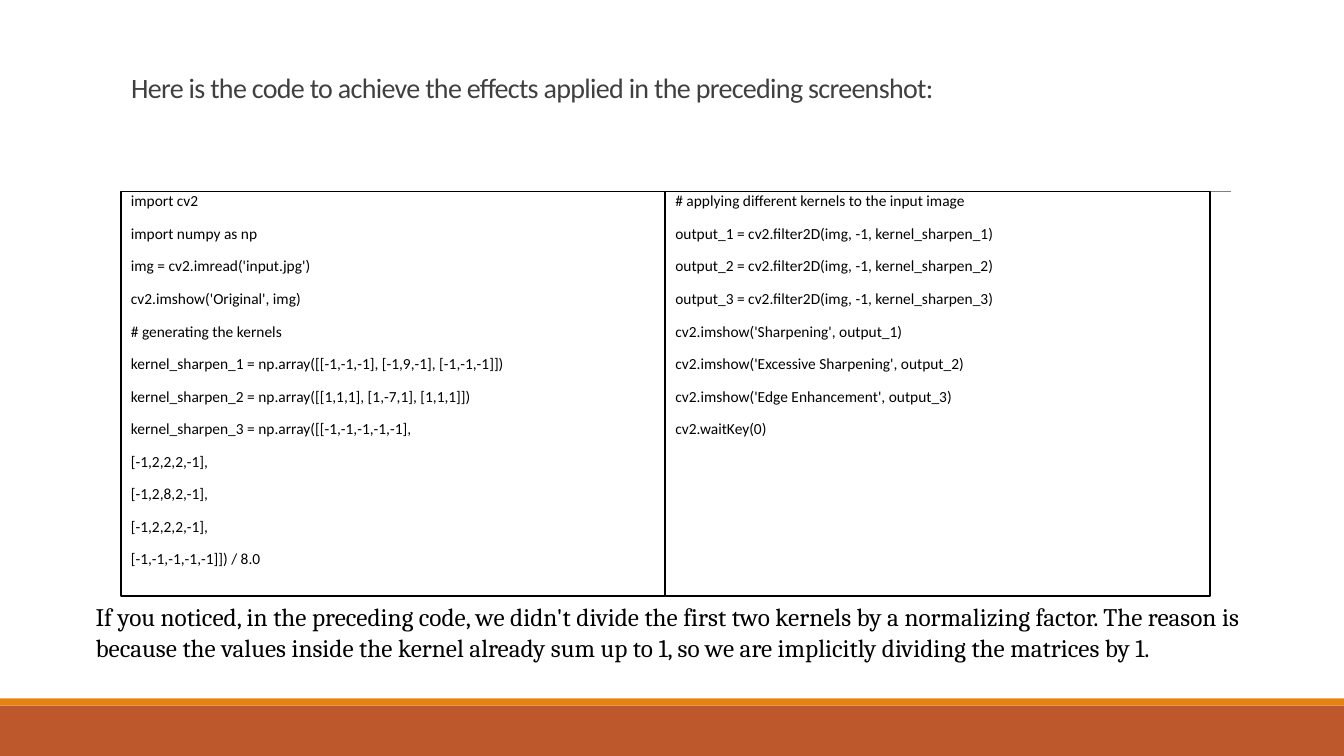
from pptx import Presentation
from pptx.dml.color import RGBColor
from pptx.enum.shapes import MSO_CONNECTOR, MSO_SHAPE
from pptx.enum.text import MSO_ANCHOR, MSO_AUTO_SIZE, PP_ALIGN
from pptx.oxml.ns import qn
from pptx.util import Inches, Pt
from lxml.etree import SubElement

LOADING_AND_KERNELS = [
    "import cv2",
    "import numpy as np",
    "img = cv2.imread('input.jpg')",
    "cv2.imshow('Original', img)",
    "# generating the kernels",
    "kernel_sharpen_1 = np.array([[-1,-1,-1], [-1,9,-1], [-1,-1,-1]])",
    "kernel_sharpen_2 = np.array([[1,1,1], [1,-7,1], [1,1,1]])",
    "kernel_sharpen_3 = np.array([[-1,-1,-1,-1,-1],",
    "[-1,2,2,2,-1],",
    "[-1,2,8,2,-1],",
    "[-1,2,2,2,-1],",
    "[-1,-1,-1,-1,-1]]) / 8.0",
]
FILTERING = [
    "# applying different kernels to the input image",
    "output_1 = cv2.filter2D(img, -1, kernel_sharpen_1)",
    "output_2 = cv2.filter2D(img, -1, kernel_sharpen_2)",
    "output_3 = cv2.filter2D(img, -1, kernel_sharpen_3)",
    "cv2.imshow('Sharpening', output_1)",
    "cv2.imshow('Excessive Sharpening', output_2)",
    "cv2.imshow('Edge Enhancement', output_3)",
    "cv2.waitKey(0)",
]
REMARK = (
    "If you noticed, in the preceding code, we didn't divide the first two kernels "
    "by a normalizing factor. The reason is because the values inside the kernel "
    "already sum up to 1, so we are implicitly dividing the matrices by 1."
)


def color(value):
    return RGBColor.from_string(value)


class CodeSlide:
    """Holds the style and the current slide."""

    heading_font = "Calibri"
    body_font = "Cambria"
    ink = "000000"
    muted = "404040"

    def __init__(self, presentation):
        self.slide = presentation.slides.add_slide(presentation.slide_layouts[5])

    def run(self, paragraph, text, font_name, size, ink):
        run = paragraph.add_run()
        run.text = text
        run.font.name = font_name
        run.font.size = Pt(size)
        run.font.color.rgb = color(ink)
        return run

    def rectangle(self, left, top, width, height, fill, line=None):
        shape = self.slide.shapes.add_shape(
            MSO_SHAPE.RECTANGLE, Inches(left), Inches(top), Inches(width), Inches(height))
        shape.shadow.inherit = False
        shape.fill.solid()
        shape.fill.fore_color.rgb = color(fill)
        if line:
            shape.line.color.rgb = color(line)
            shape.line.width = Pt(1.25)
        else:
            shape.line.fill.background()
        return shape

    def rule(self, left, right, top):
        connector = self.slide.shapes.add_connector(
            MSO_CONNECTOR.STRAIGHT, Inches(left), Inches(top), Inches(right), Inches(top))
        connector.line.color.rgb = color("808080")
        connector.line.width = Pt(0.5)
        SubElement(connector._element.spPr, qn("a:effectLst"))

    def title(self, text, left, top, width, height):
        title = self.slide.shapes.title
        title.left, title.top = Inches(left), Inches(top)
        title.width, title.height = Inches(width), Inches(height)
        frame = title.text_frame
        frame.word_wrap = True
        frame.auto_size = MSO_AUTO_SIZE.NONE
        frame.vertical_anchor = MSO_ANCHOR.BOTTOM
        paragraph = frame.paragraphs[0]
        paragraph.alignment = PP_ALIGN.LEFT
        paragraph.line_spacing = 0.85
        run = self.run(paragraph, text, self.heading_font, 20, self.muted)
        run._r.get_or_add_rPr().set("spc", "-50")

    def code(self, lines, left, top, width, height):
        frame = self.rectangle(left, top, width, height, "FFFFFF", self.ink).text_frame
        frame.word_wrap = True
        frame.vertical_anchor = MSO_ANCHOR.TOP
        frame.margin_left, frame.margin_right = Inches(0.1), Inches(0)
        frame.margin_top = frame.margin_bottom = Inches(0.05)
        for index, line in enumerate(lines):
            paragraph = frame.add_paragraph() if index else frame.paragraphs[0]
            paragraph.alignment = PP_ALIGN.LEFT
            paragraph.line_spacing = 0.7
            paragraph.space_before = Pt(12 if index else 0)
            paragraph.space_after = Pt(2)
            self.run(paragraph, line, self.heading_font, 11, self.ink)

    def text(self, text, left, top, width, height):
        box = self.slide.shapes.add_textbox(
            Inches(left), Inches(top), Inches(width), Inches(height))
        box.text_frame.word_wrap = True
        self.run(box.text_frame.paragraphs[0], text, self.body_font, 18, self.ink)


def main():
    presentation = Presentation()
    presentation.slide_width, presentation.slide_height = Inches(13.33), Inches(7.5)
    page = CodeSlide(presentation)
    page.rectangle(0, 7, 13.33, 0.5, "BD582C")
    page.rectangle(0, 6.93, 13.33, 0.07, "E48312")
    page.rule(1.31, 12.21, 1.9)
    page.title("Here is the code to achieve the effects applied in the preceding screenshot:",
               1.2, 0.57, 11, 0.51)
    panel_width = 5.4
    for column, lines in enumerate([LOADING_AND_KERNELS, FILTERING]):
        page.code(lines, 1.2 + column * panel_width, 1.9, panel_width, 4.01)
    page.text(REMARK, 0.85, 5.92, 11.77, 1.01)
    presentation.save("out.pptx")


if __name__ == "__main__":
    main()
